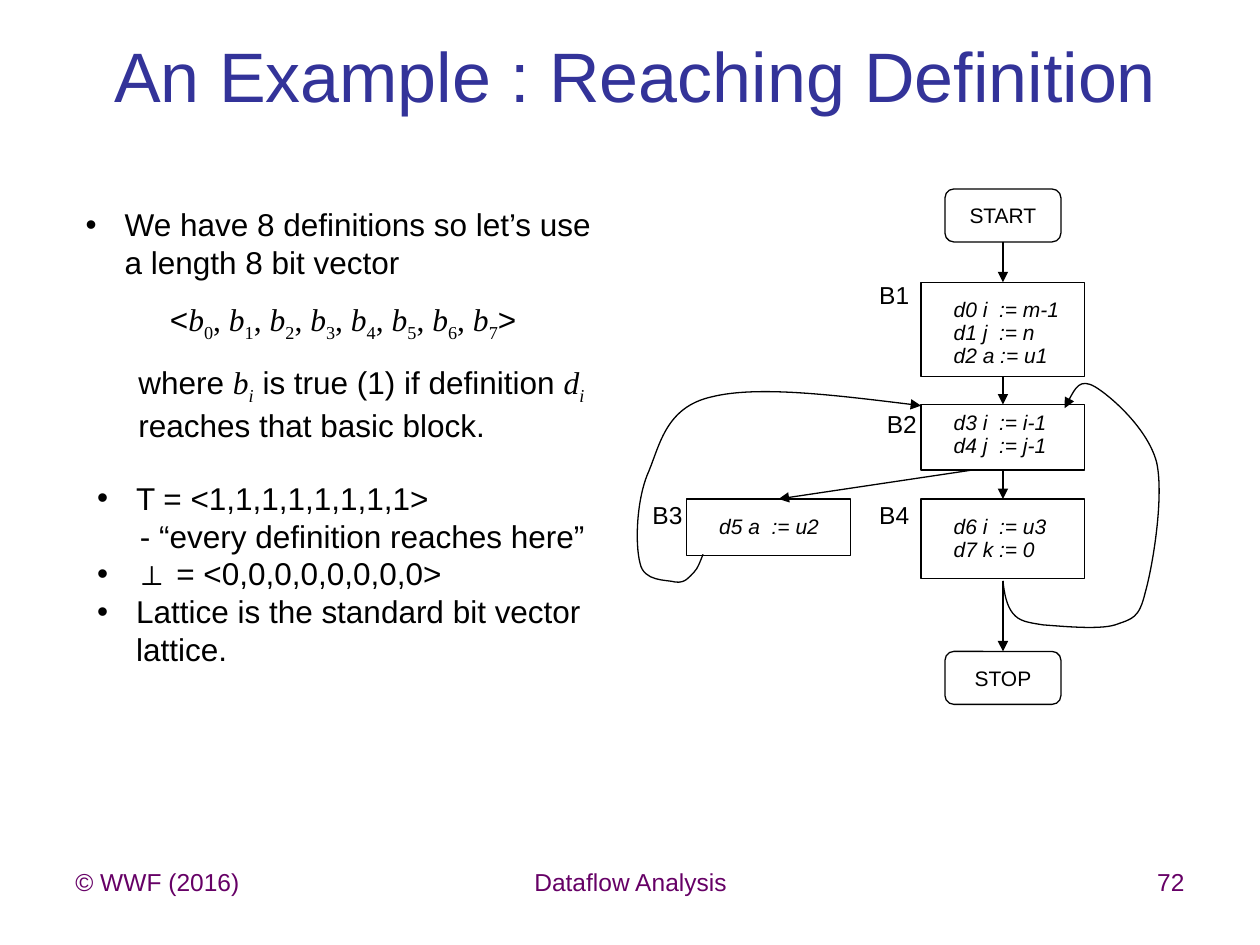
"""Build the reaching definition example slide."""
from lxml import etree
from pptx import Presentation
from pptx.dml.color import RGBColor
from pptx.enum.shapes import MSO_CONNECTOR, MSO_SHAPE
from pptx.enum.text import MSO_ANCHOR, MSO_AUTO_SIZE, PP_ALIGN
from pptx.oxml.ns import qn
from pptx.util import Pt

PX = 9144
LEFT, CENTER, RIGHT = PP_ALIGN.LEFT, PP_ALIGN.CENTER, PP_ALIGN.RIGHT
TOP, MIDDLE = MSO_ANCHOR.TOP, MSO_ANCHOR.MIDDLE
NO_FIT = MSO_AUTO_SIZE.NONE
RECT, ROUND = MSO_SHAPE.RECTANGLE, MSO_SHAPE.ROUNDED_RECTANGLE
STRAIGHT = MSO_CONNECTOR.STRAIGHT

COLORS = {"title": "333399", "footer": "660066", "ink": "000000", "paper": "FFFFFF"}
FONTS = {
    "title": {"size": Pt(40), "name": "Arial"},
    "footer": {"size": Pt(14), "name": "Arial"},
    "body": {"size": Pt(18), "name": "Arial"},
    "code": {"size": Pt(12), "name": "Arial", "italic": True},
    "node": {"size": Pt(12), "name": "Arial"},
    "label": {"size": Pt(14), "name": "Arial"},
}
RUNS = {
    "plain": {},
    "bold": {"bold": True},
    "serif": {"name": "Times New Roman"},
    "var": {"name": "Times New Roman", "italic": True},
    "sub": {"name": "Times New Roman"},
    "varsub": {"name": "Times New Roman", "italic": True},
}
SUBSCRIPTS = ("sub", "varsub")
BULLET = (31, -31, "•")
PLAIN = (34, 0, None)


class Deck:
    """Hold the style and the current slide."""

    def __init__(self, width, height):
        self.prs = Presentation()
        self.prs.slide_width, self.prs.slide_height = width * PX, height * PX
        self.s = self.prs.slides.add_slide(self.prs.slide_layouts[3])

    def color(self, name):
        return RGBColor.from_string(COLORS[name])

    def place(self, sp, box):
        for key, value in zip(("left", "top", "width", "height"), box):
            setattr(sp, key, value * PX)

    def bullet(self, p, margin, indent, char):
        pPr = p._p.get_or_add_pPr()
        pPr.set("marL", str(margin * PX))
        pPr.set("indent", str(indent * PX))
        if char:
            etree.SubElement(pPr, qn("a:buChar")).set("char", char)
        else:
            etree.SubElement(pPr, qn("a:buNone"))

    def fill_text(self, sp, paras, font, color="ink", align=LEFT, anchor=TOP,
                  wrap=True, bullets=(), spacing=1.0, before=0):
        tf = sp.text_frame
        frame = {"word_wrap": wrap, "auto_size": NO_FIT, "vertical_anchor": anchor}
        for key, value in frame.items():
            setattr(tf, key, value)
        for i, runs in enumerate(paras):
            p = tf.add_paragraph() if i else tf.paragraphs[0]
            if bullets:
                self.bullet(p, *bullets[i])
            fmt = {"alignment": align, "line_spacing": spacing,
                   "space_before": Pt(before if i else 0)}
            for key, value in fmt.items():
                setattr(p, key, value)
            for text, kind in [(runs, "plain")] if isinstance(runs, str) else runs:
                r = p.add_run()
                r.text = text
                for key, value in {**FONTS[font], **RUNS[kind]}.items():
                    setattr(r.font, key, value)
                r.font.color.rgb = self.color(color)
                if kind in SUBSCRIPTS:
                    r._r.get_or_add_rPr().set("baseline", "-25000")

    def holder(self, idx, box, paras, font, **fmt):
        sp = self.s.placeholders[idx]
        self.place(sp, box)
        self.fill_text(sp, paras, font, **fmt)

    def text(self, box, paras, font, **fmt):
        sp = self.s.shapes.add_textbox(*(v * PX for v in box))
        self.fill_text(sp, paras, font, **fmt)

    def outline(self, sp, arrow=False):
        sp.line.color.rgb = self.color("ink")
        sp.line.width = Pt(0.75)
        if arrow:
            ln = sp._element.spPr.find(qn("a:ln"))
            etree.SubElement(ln, qn("a:tailEnd")).set("type", "triangle")

    def shape(self, kind, box, fill=None):
        sp = self.s.shapes.add_shape(kind, *(v * PX for v in box))
        sp.shadow.inherit = False
        if fill:
            sp.fill.solid()
            sp.fill.fore_color.rgb = self.color(fill)
        else:
            sp.fill.background()
        self.outline(sp)
        return sp

    def node(self, box, label):
        sp = self.shape(ROUND, box, "paper")
        self.fill_text(sp, [label], "node", align=CENTER, anchor=MIDDLE)

    def block(self, name, name_at, box, text_top, lines):
        left, _, width, _ = box
        self.text((left + 16, text_top, width - 25, 60), lines, "code",
                  spacing=0.5, before=6)
        self.shape(RECT, box)
        self.text((*name_at, 44, 34), [name], "label", wrap=False)

    def arrow(self, x1, y1, x2, y2):
        c = self.s.shapes.add_connector(STRAIGHT, *(v * PX for v in (x1, y1, x2, y2)))
        self.outline(c, arrow=True)
        etree.SubElement(c._element.spPr, qn("a:effectLst"))

    def curve(self, start, points):
        fb = self.s.shapes.build_freeform(*start, scale=PX)
        fb.add_line_segments(points, close=False)
        sp = fb.convert_to_shape()
        sp.shadow.inherit = False
        sp.fill.background()
        self.outline(sp, arrow=True)
        track = sp._element.find(".//" + qn("a:path"))
        lines = track.findall(qn("a:lnTo"))
        for i in range(0, len(lines), 3):
            bezier = etree.SubElement(track, qn("a:cubicBezTo"))
            for line in lines[i:i + 3]:
                bezier.append(line[0])
                track.remove(line)


def main():
    d = Deck(1000, 750)
    d.holder(0, (33, 33, 942, 53), ["An Example : Reaching Definition"], "title",
             color="title", align=CENTER, anchor=MIDDLE)
    for left, width, label, align in (
            (50, 233, "© WWF (2016)", LEFT),
            (342, 317, "Dataflow Analysis", CENTER),
            (717, 233, "72", RIGHT)):
        d.text((left, 683, width, 52), [label], "footer", color="footer", align=align)

    d.holder(1, (58, 158, 433, 101),
             ["We have 8 definitions so let’s use a length 8 bit vector"],
             "body", bullets=[BULLET])
    vector = [("<", "plain")]
    for i in range(8):
        vector += [("b", "var"), (str(i), "sub"), (", ", "serif")]
    vector[-1] = (">", "plain")
    d.text((125, 233, 383, 40), [vector], "body")
    d.text((100, 283, 375, 71), [[
        ("where ", "plain"), ("b", "var"), ("i", "varsub"),
        (" is true (1) if definition ", "plain"), ("d", "var"), ("i", "varsub"),
        (" reaches that basic block.", "plain")]], "body")
    d.holder(2, (67, 375, 425, 162), [
        "T = <1,1,1,1,1,1,1,1>",
        "- “every definition reaches here”",
        [("⊥ ", "bold"), ("= <0,0,0,0,0,0,0,0>", "plain")],
        "Lattice is the standard bit vector lattice."],
        "body", bullets=[BULLET, PLAIN, BULLET, BULLET])

    d.block("B1", (688, 217), (731, 224, 130, 75), 239,
            ["d0 i  := m-1", "d1 j  := n", "d2 a := u1"])
    d.block("B2", (694, 320), (731, 321, 130, 52), 329,
            ["d3 i  := i-1", "d4 j  := j-1"])
    d.block("B3", (508, 392), (545, 396, 130, 45), 411, ["d5 a  := u2"])
    d.block("B4", (688, 392), (731, 396, 130, 63), 411,
            ["d6 i  := u3", "d7 k := 0"])
    for top, label in ((150, "START"), (517, "STOP")):
        d.node((750, top, 92, 42), label)

    for y1, y2 in ((192, 224), (299, 321), (373, 396), (461, 517)):
        d.arrow(796, y1, 796, y2)
    d.arrow(772, 373, 618, 396)
    d.curve((558, 440), [
        (556, 445), (554, 451), (551, 454), (547, 458), (544, 463), (536, 462),
        (529, 460), (511, 462), (508, 447), (504, 432), (505, 396), (515, 374),
        (524, 352), (529, 323), (565, 315), (601, 306), (666, 314), (731, 322)])
    d.curve((796, 461), [
        (797, 471), (799, 481), (804, 487), (809, 493), (815, 494), (828, 496),
        (842, 497), (872, 500), (885, 496), (899, 491), (904, 491), (909, 470),
        (915, 449), (924, 394), (918, 367), (911, 340), (881, 314), (869, 307),
        (857, 300), (851, 312), (845, 324)])
    d.prs.save("out.pptx")


if __name__ == "__main__":
    main()
